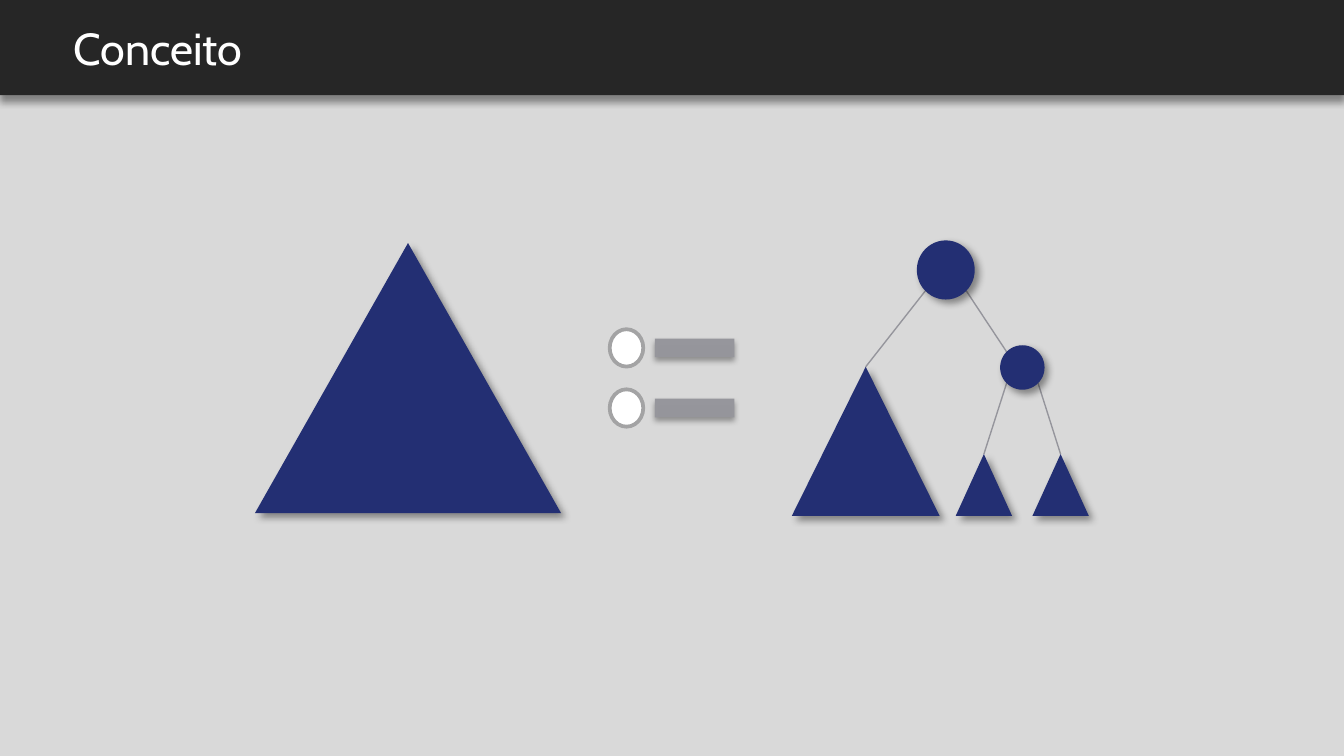
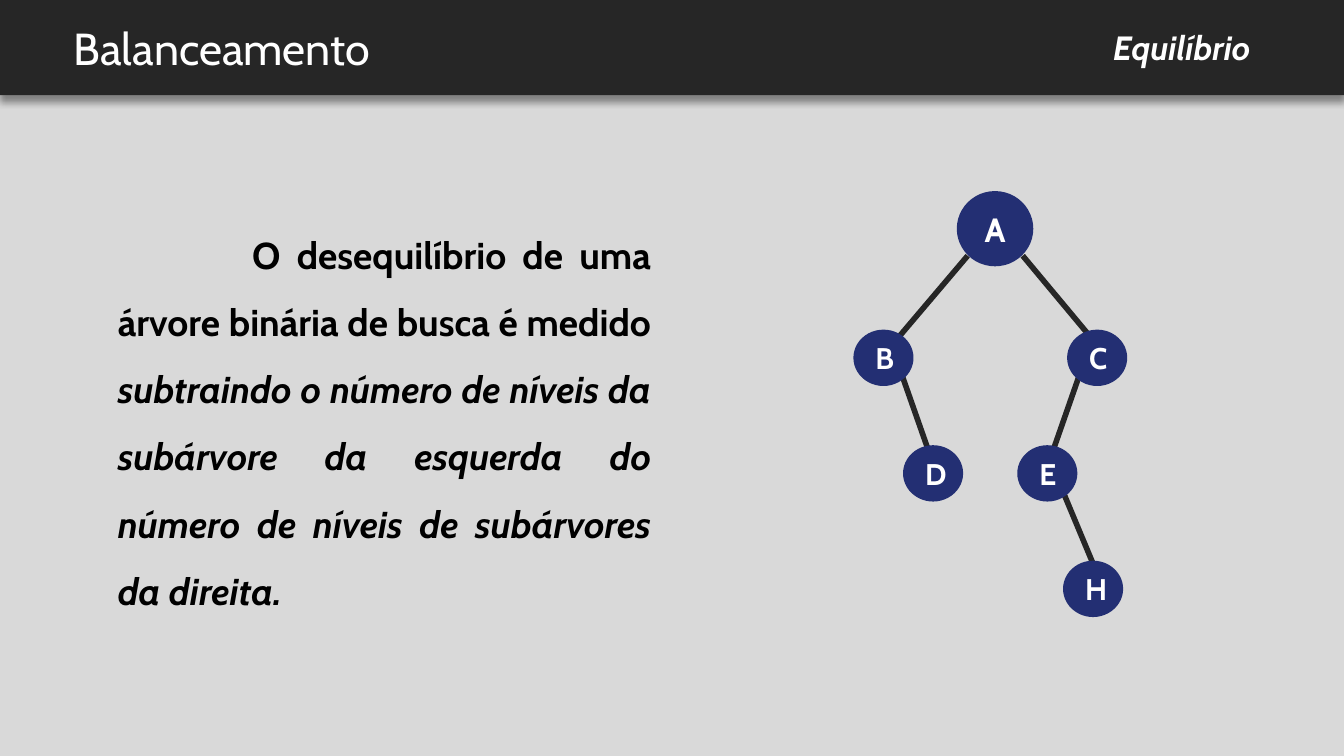
from lxml.etree import SubElement
from pptx import Presentation
from pptx.dml.color import RGBColor
from pptx.enum.shapes import MSO_CONNECTOR, MSO_SHAPE
from pptx.enum.text import MSO_ANCHOR, PP_ALIGN
from pptx.oxml.ns import qn
from pptx.util import Pt

COLORS = {
    "background": "D9D9D9", "band": "262626", "white": "FFFFFF", "black": "000000",
    "node": "232F73", "branch": "95959C", "ring": "A3A3A4", "bar": "96969C",
}
FONTS = {
    "title": {"size": Pt(24)},
    "subtitle": {"size": Pt(18), "bold": True, "italic": True},
    "body": {"size": Pt(20), "bold": True},
    "emphasis": {"size": Pt(20), "bold": True, "italic": True},
    "root": {"size": Pt(18), "bold": True},
    "label": {"size": Pt(16), "bold": True},
}
SHADOWS = {
    "band": {"opacity": 40, "blur": 4, "distance": 3, "angle": 90},
    "node": {"opacity": 40, "blur": 4, "distance": 3, "angle": 45},
    "bar": {"opacity": 35, "blur": 3.1, "distance": 1.8, "angle": 90},
}
SLIDE_WIDTH, SLIDE_HEIGHT = 720, 405
BAND_HEIGHT = 51


def rgb(name):
    """Return the named colour."""
    return RGBColor.from_string(COLORS[name])


def add_shadow(effects, kind):
    """Put an outer shadow into an effect list."""
    style = SHADOWS[kind]
    shadow = SubElement(effects, qn("a:outerShdw"), {
        "blurRad": str(Pt(style["blur"])), "dist": str(Pt(style["distance"])),
        "dir": str(style["angle"] * 60000), "algn": "tl", "rotWithShape": "0",
    })
    color = SubElement(shadow, qn("a:srgbClr"), val=COLORS["black"])
    SubElement(color, qn("a:alpha"), val=str(style["opacity"] * 1000))


def add_figure(shapes, kind, box, fill, shadow=None, line=None, width=2):
    """Add a preset shape with a plain fill."""
    shape = shapes.add_shape(kind, *map(Pt, box))
    shape.fill.solid()
    shape.fill.fore_color.rgb = rgb(fill)
    if line:
        shape.line.color.rgb = rgb(line)
        shape.line.width = Pt(width)
    else:
        shape.line.fill.background()
    shape.shadow.inherit = False
    if shadow:
        add_shadow(shape._element.spPr.find(qn("a:effectLst")), shadow)
    return shape


def add_line(shapes, start, end, color, width, shadow=None, opacity=None):
    """Add a straight line between two points."""
    line = shapes.add_connector(MSO_CONNECTOR.STRAIGHT, *map(Pt, (*start, *end)))
    line.line.color.rgb = rgb(color)
    line.line.width = Pt(width)
    properties = line._element.spPr
    if opacity:
        solid = next(properties.iter(qn("a:srgbClr")))
        SubElement(solid, qn("a:alpha"), val=str(opacity * 1000))
    effects = SubElement(properties, qn("a:effectLst"))
    if shadow:
        add_shadow(effects, shadow)


def write(paragraph, text, style, color):
    """Add a run in one of the font styles."""
    run = paragraph.add_run()
    run.text = text
    for name, value in {"name": "Cabin", **FONTS[style]}.items():
        setattr(run.font, name, value)
    run.font.color.rgb = rgb(color)


def add_textbox(shapes, box, runs, color, frame_format, paragraph_format):
    """Add a wrapping text box with one paragraph and return the paragraph."""
    frame = shapes.add_textbox(*map(Pt, box)).text_frame
    paragraph = frame.paragraphs[0]
    for name, value in {"word_wrap": True, **frame_format}.items():
        setattr(frame, name, value)
    for name, value in paragraph_format.items():
        setattr(paragraph, name, value)
    for text, style in runs:
        write(paragraph, text, style, color)
    return paragraph


def add_header(slide, title, subtitle=None):
    """Draw the title band with an optional subtitle at its right."""
    add_figure(slide.shapes, MSO_SHAPE.RECTANGLE, (0, 0, SLIDE_WIDTH, BAND_HEIGHT), "band", "band")
    margins = {f"margin_{side}": Pt(7.2) for side in ("left", "top", "right", "bottom")}
    add_textbox(slide.shapes, (32.4, 0, 651.6, BAND_HEIGHT), [(title, "title")], "white",
                {"vertical_anchor": MSO_ANCHOR.MIDDLE, **margins}, {})
    if subtitle:
        add_textbox(slide.shapes, (489, 11, 188, 29), [(subtitle, "subtitle")], "white",
                    {}, {"alignment": PP_ALIGN.RIGHT})


def new_slide(presentation):
    """Add a blank slide with the shared background."""
    slide = presentation.slides.add_slide(presentation.slide_layouts[6])
    slide.background.fill.solid()
    slide.background.fill.fore_color.rgb = rgb("background")
    return slide


def rim_point(box, side, end):
    """Return the point of an ellipse at 45 degrees toward a corner."""
    left, top, width, height = box
    return left + width / 2 * (1 + side * 0.71), top + height / 2 * (1 + end * 0.71)


def apex(box):
    """Return the top point of a triangle."""
    left, top, width, _ = box
    return left + width / 2, top


def add_subtree_diagram(slide, left, top):
    """Draw a root with a subtree at its left and a divided one at its right."""
    shapes = slide.shapes.add_group_shape().shapes
    root = (left + 67, top, 31, 31.7)
    child = (left + 111.6, top + 56.2, 23.8, 23.8)
    large = (left, top + 67.7, 79.2, 79.9)
    small = [(left + offset, top + 114.5, 30.2, 33.1) for offset in (87.8, 128.9)]
    branches = [
        (rim_point(root, -1, 1), apex(large)),
        (rim_point(root, 1, 1), rim_point(child, -1, -1)),
        (rim_point(child, -1, 1), apex(small[0])),
        (rim_point(child, 1, 1), apex(small[1])),
    ]
    for start, end in branches:
        add_line(shapes, start, end, "branch", 0.75)
    for box in (root, child):
        add_figure(shapes, MSO_SHAPE.OVAL, box, "node", "node")
    for box in (large, *small):
        add_figure(shapes, MSO_SHAPE.ISOSCELES_TRIANGLE, box, "node", "node")


def add_equals_sign(slide, left, top):
    """Draw two rows, each a ring and a bar."""
    shapes = slide.shapes.add_group_shape().shapes
    for row in range(2):
        row_top = top + row * 32.2
        add_figure(shapes, MSO_SHAPE.OVAL, (left, row_top, 18, 20), "white", line="ring")
        middle = row_top + 10
        add_line(shapes, (left + 24.2, middle), (left + 66.8, middle), "bar", 10, "bar", 98)


def add_letter_tree(slide, left, top):
    """Draw the binary tree of lettered nodes."""
    shapes = slide.shapes.add_group_shape().shapes
    branches = [
        (61.2, 34.6, 17.3, 86.4), (90.7, 34.6, 133.9, 86.4),
        (23, 90, 43.2, 147.6), (123.8, 90.7, 103.7, 148.3),
        (109.4, 154.1, 132.5, 209.5),
    ]
    nodes = {"A": (55.4, 0), "B": (0, 74.2), "C": (114.5, 74.2),
             "D": (26.6, 136.1), "E": (87.8, 136.1), "H": (112.3, 198)}
    for x1, y1, x2, y2 in branches:
        add_line(shapes, (left + x1, top + y1), (left + x2, top + y2), "band", 3)
    for letter, (x, y) in nodes.items():
        size, style = ((41, 40.3), "root") if letter == "A" else ((32.2, 30.2), "label")
        node = add_figure(shapes, MSO_SHAPE.OVAL, (left + x, top + y, *size), "node")
        node.text_frame.vertical_anchor = MSO_ANCHOR.MIDDLE
        paragraph = node.text_frame.paragraphs[0]
        paragraph.alignment = PP_ALIGN.CENTER
        write(paragraph, letter, style, "white")


def build_concept(presentation):
    """Build the slide that equates a tree with its subtrees."""
    slide = new_slide(presentation)
    add_header(slide, "Conceito")
    add_figure(slide.shapes, MSO_SHAPE.ISOSCELES_TRIANGLE, (136.6, 130.2, 164, 144.7), "node", "node")
    add_subtree_diagram(slide, 424.2, 128.8)
    add_equals_sign(slide, 326.6, 176.4)


def build_balance(presentation):
    """Build the slide that defines the imbalance of a tree."""
    slide = new_slide(presentation)
    runs = [
        ("O desequilíbrio de uma árvore binária de busca é medido ", "body"),
        ("subtraindo o número de níveis da subárvore da esquerda do número de níveis "
         "de subárvores da direita.", "emphasis"),
    ]
    paragraph = add_textbox(slide.shapes, (56, 108.7, 300, 223), runs, "black", {},
                            {"alignment": PP_ALIGN.JUSTIFY, "line_spacing": 1.5})
    paragraph._p.get_or_add_pPr().set("indent", str(Pt(72)))
    add_letter_tree(slide, 457.2, 102.4)
    add_header(slide, "Balanceamento", "Equilíbrio")


def main():
    """Build and save the presentation."""
    presentation = Presentation()
    presentation.slide_width = Pt(SLIDE_WIDTH)
    presentation.slide_height = Pt(SLIDE_HEIGHT)
    build_concept(presentation)
    build_balance(presentation)
    presentation.save("out.pptx")


if __name__ == "__main__":
    main()
